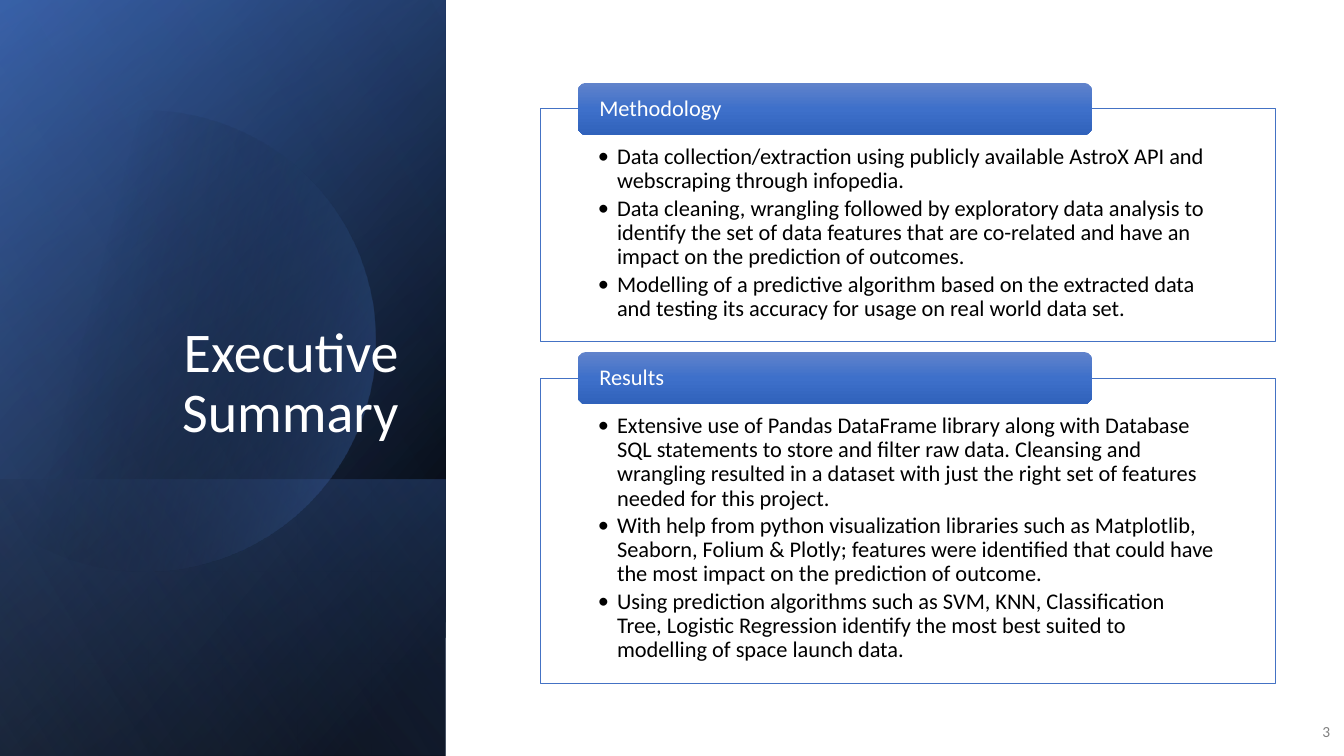
from lxml import etree
from pptx import Presentation
from pptx.dml.color import RGBColor
from pptx.enum.shapes import MSO_SHAPE
from pptx.enum.text import MSO_ANCHOR, PP_ALIGN
from pptx.oxml.ns import qn
from pptx.util import Inches, Pt

RECTANGLE, ROUNDED = MSO_SHAPE.RECTANGLE, MSO_SHAPE.ROUNDED_RECTANGLE
TOP, MIDDLE, BOTTOM = MSO_ANCHOR.TOP, MSO_ANCHOR.MIDDLE, MSO_ANCHOR.BOTTOM
LEFT, RIGHT = PP_ALIGN.LEFT, PP_ALIGN.RIGHT
FONT = "Calibri"
BLUE, BLACK, WHITE = "4472C4", "000000", "FFFFFF"
INDENT = 0.19
HARD_SPACE = chr(160)

# A tilde stands for a non-breaking space
SECTIONS = [
    ("Methodology", 0.82, 2.31, [
        "Data collection/extraction using publicly available AstroX API and webscraping through infopedia.",
        "Data cleaning, wrangling followed by exploratory data analysis to identify the set of data "
        "features that are co-related and have an impact on the prediction of outcomes.",
        "Modelling of a predictive algorithm based on the extracted data and testing its accuracy "
        "for usage on real world data set.",
    ]),
    ("Results", 3.49, 3.03, [
        "Extensive use of Pandas DataFrame library along with Database SQL statements to store and "
        "filter raw data. Cleansing and wrangling resulted in a dataset with just the right set of "
        "features needed for this project.",
        "With help from python~visualization~libraries such as Matplotlib, Seaborn, Folium & Plotly; "
        "features were~identified that could have the most impact on~the prediction of outcome.",
        "Using prediction~algorithms such as SVM, KNN, Classification Tree,~Logistic Regression~identify "
        "the~most~best suited~to modelling of space~launch~data.",
    ]),
]

# Disc outline: start point, then cubic curves as two controls and an end
DISC_START = (1.49, 1.1)
DISC_CURVES = [
    [(2.46, 1.12), (3.35, 1.77), (3.63, 2.75)],
    [(3.98, 3.97), (3.28, 5.23), (2.07, 5.58)],
    [(1.31, 5.8), (0.53, 5.61), (0, 5.14)],
    [(0, 5.14), (0, 1.61), (0, 1.61)],
    [(0.23, 1.42), (0.5, 1.28), (0.8, 1.19)],
    [(1.03, 1.13), (1.26, 1.1), (1.49, 1.1)],
]


def color(value):
    return RGBColor.from_string(value)


def set_opacity(color_element, percent):
    etree.SubElement(color_element, qn("a:alpha")).set("val", str(percent * 1000))


def fill_gradient(shape, stops, angle):
    """Fill with (position, colour, opacity) stops, the angle clockwise in degrees."""
    shape.fill.gradient()
    gradient = shape._element.spPr.find(qn("a:gradFill"))
    for child in list(gradient):
        gradient.remove(child)
    gradient.set("rotWithShape", "1")
    stop_list = etree.SubElement(gradient, qn("a:gsLst"))
    for position, value, opacity in stops:
        stop = etree.SubElement(stop_list, qn("a:gs"), pos=str(position * 1000))
        set_opacity(etree.SubElement(stop, qn("a:srgbClr"), val=value), opacity)
    etree.SubElement(gradient, qn("a:lin"), ang=str(angle * 60000), scaled="0")


def add_plain_shape(page, kind, left, top, width, height):
    shape = page.shapes.add_shape(kind, Inches(left), Inches(top), Inches(width), Inches(height))
    shape.shadow.inherit = False
    shape.line.fill.background()
    return shape


def write(shape, lines, size, value, anchor=TOP, align=LEFT, insets=(0.1, 0.05, 0.1, 0.05),
          after=0, spacing=0.9, bullets=False):
    frame = shape.text_frame
    frame.word_wrap = True
    frame.vertical_anchor = anchor
    (frame.margin_left, frame.margin_top,
     frame.margin_right, frame.margin_bottom) = map(Inches, insets)
    for index, line in enumerate(lines):
        para = frame.add_paragraph() if index else frame.paragraphs[0]
        para.text = line.replace("~", HARD_SPACE)
        if bullets:
            properties = para._p.get_or_add_pPr()
            properties.set("marL", str(Inches(INDENT)))
            properties.set("indent", str(-Inches(INDENT)))
            etree.SubElement(properties, qn("a:buFont"), typeface=FONT)
            etree.SubElement(properties, qn("a:buChar"), char="•")
        para.alignment = align
        para.line_spacing = spacing
        para.space_after = Pt(after)
        para.font.name = FONT
        para.font.size = Pt(size)
        para.font.color.rgb = color(value)


def add_panel_layer(page, left, top, width, height, stops, angle):
    """Cover the given box with a mirrored rectangle on its side, so the gradient turns with it."""
    layer = add_plain_shape(page, RECTANGLE, left + (width - height) / 2,
                            top + (height - width) / 2, height, width)
    layer.rotation = 90
    layer._element.spPr.xfrm.set("flipH", "1")
    fill_gradient(layer, stops, angle)


def add_disc(page, left, top):
    """Draw the disc's corner points, then bend each side into its curve."""
    def place(point):
        return Inches(left + point[0]), Inches(top + point[1])

    builder = page.shapes.build_freeform(*place(DISC_START))
    builder.add_line_segments([place(curve[-1]) for curve in DISC_CURVES], close=True)
    disc = builder.convert_to_shape()
    sides = list(disc._element.iter(qn("a:lnTo")))
    for side, curve in zip(sides, DISC_CURVES):
        bend = etree.Element(qn("a:cubicBezTo"))
        for x, y in map(place, curve):
            etree.SubElement(bend, qn("a:pt"), x=str(x - disc.left), y=str(y - disc.top))
        side.getparent().replace(side, bend)
    disc.shadow.inherit = False
    disc.line.fill.background()
    fill_gradient(disc, [(29, BLACK, 0), (100, BLUE, 43)], 14)


def add_title_panel(page, left, top, width, height):
    whole = (left, top, width, height)
    foot = 2.74
    add_panel_layer(page, *whole, [(8, BLACK, 100), (100, "2F5597", 100)], 50)
    add_panel_layer(page, *whole, [(0, BLACK, 0), (99, BLUE, 46)], 30)
    add_panel_layer(page, left, top + height - foot, width, foot,
                    [(2, BLUE, 29), (100, BLACK, 30)], 130)
    add_disc(page, left, top)
    add_panel_layer(page, *whole, [(0, BLACK, 0), (99, "8FAADC", 11)], 120)
    title = page.shapes.add_textbox(Inches(left + 0.64), Inches(top + 1.84),
                                    Inches(3.41), Inches(2.62))
    write(title, ["Executive Summary"], 40, WHITE, BOTTOM, RIGHT, after=6)


def add_section(page, left, top, width, height, heading, points):
    """Draw a bulleted frame with its heading tab straddling the upper edge."""
    tab_height = 0.52
    frame = add_plain_shape(page, RECTANGLE, left, top + tab_height / 2, width, height)
    frame.fill.solid()
    frame.fill.fore_color.rgb = color(WHITE)
    set_opacity(frame._element.spPr.find(qn("a:solidFill"))[0], 90)
    frame.line.color.rgb = color(BLUE)
    frame.line.width = Pt(0.5)
    write(frame, points, 16, BLACK, insets=(0.57, 0.36, 0.57, 0.12), after=2.4, bullets=True)

    tab = add_plain_shape(page, ROUNDED, left + 0.37, top, width * 0.7, tab_height)
    fill_gradient(tab, [(0, "6183CB", 100), (50, "3E70CA", 100), (100, "3062BB", 100)], 90)
    write(tab, [heading], 16, WHITE, MIDDLE, insets=(0.19, 0, 0.19, 0))


def add_page_number(page, left, top, width, height):
    box = page.shapes.add_textbox(Inches(left), Inches(top), Inches(width), Inches(height))
    write(box, ["3"], 11, "808080", MIDDLE, RIGHT, after=6, spacing=1.0)


def main():
    deck = Presentation()
    deck.slide_width, deck.slide_height = Inches(13.33), Inches(7.5)
    page = deck.slides.add_slide(deck.slide_layouts[6])
    add_title_panel(page, 0, 0, 4.42, 7.5)
    add_page_number(page, 12.8, 7.06, 0.49, 0.4)
    for heading, top, height, points in SECTIONS:
        add_section(page, 5.36, top, 7.29, height, heading, points)
    deck.save("out.pptx")


if __name__ == "__main__":
    main()
